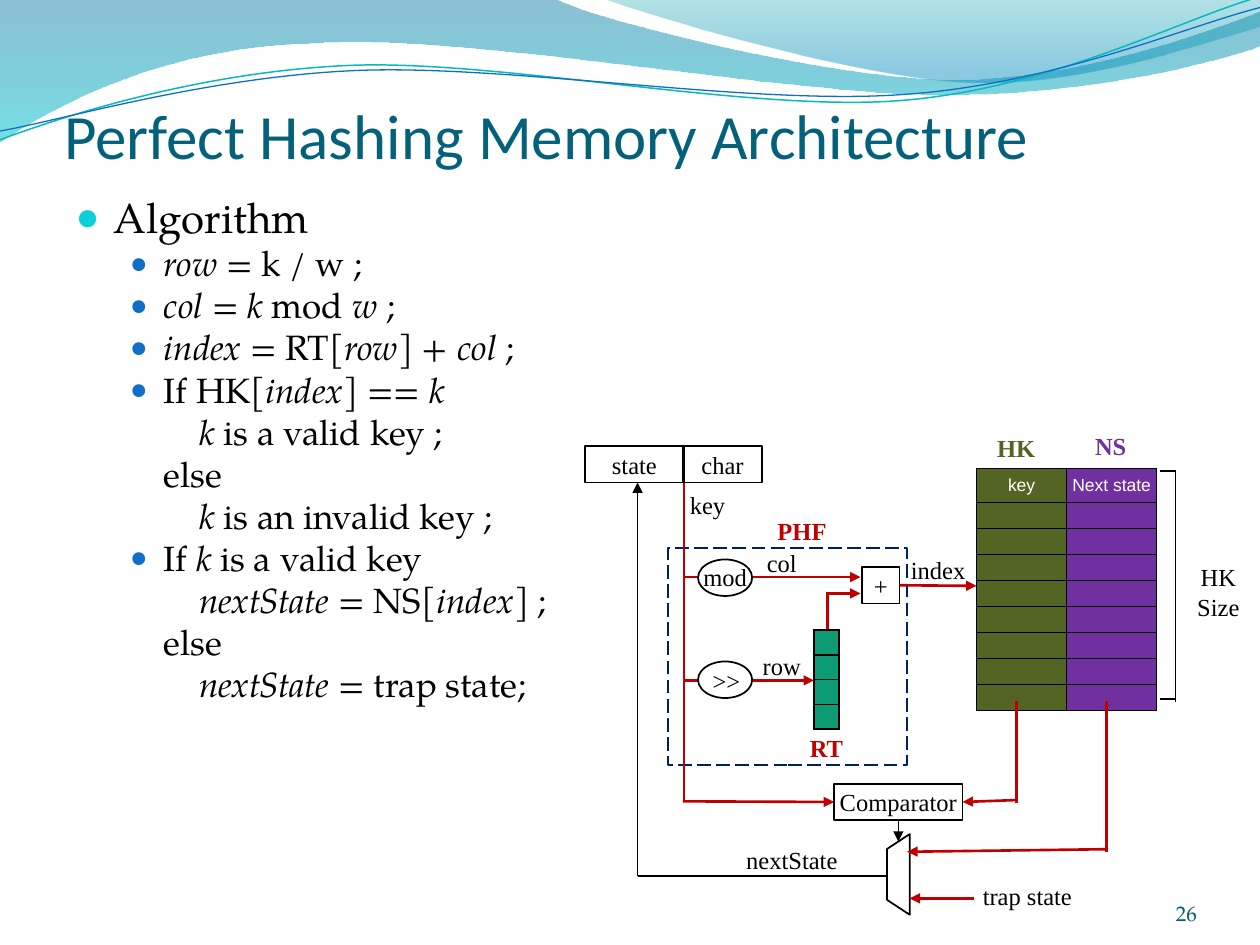
from dataclasses import dataclass

from lxml.etree import SubElement as Sub
from pptx import Presentation
from pptx.dml.color import RGBColor as Rgb
from pptx.enum.dml import MSO_LINE as Dash
from pptx.enum.shapes import MSO_CONNECTOR as Link, MSO_SHAPE as Kind
from pptx.enum.text import MSO_ANCHOR as Anchor, MSO_AUTO_SIZE as Fit, PP_ALIGN as Align
from pptx.oxml.ns import qn
from pptx.util import Cm, Pt


@dataclass(frozen=True)
class Theme:
    """Colours, fonts and type sizes of the slide."""
    title: str = "04617B"
    page: str = "045D75"
    ink: str = "000000"
    white: str = "FFFFFF"
    red: str = "C00000"
    olive: str = "546422"
    purple: str = "7030A0"
    green: str = "0C9B74"
    navy: str = "002060"
    cyan: str = "0BD0D9"
    blue: str = "0F6FC6"
    teal: str = "0AB8BF"
    head: str = "Calibri"
    serif: str = "TeX Gyre Pagella"
    label: str = "Times New Roman"
    cell: str = "Arial"
    big: int = 36
    item: int = 24
    sub: int = 20
    note: int = 14
    foot: int = 12
    small: int = 10


T = Theme()
STEPS = [
    "*row* = k / w ;",
    "*col* = *k* mod *w* ;",
    "*index* = RT[*row*] + *col* ;",
    "If HK[*index*] == *k*\n\t*k* is a valid key ;\nelse\n\t*k* is an invalid key ;",
    "If *k* is a valid key\n\t*nextState* = NS[*index*] ;\nelse\n\t*nextState* = trap state;",
]
WAVES = [
    ([(0, 0), (4.4, -0.01), (4.76, 0.17, 6.64, 0.63, 7.58, 0.63),
      (8.53, 0.63, 9.58, 0.26, 10, 0.09), (10.01, 0.36),
      (9.83, 0.44, 8.7, 0.76, 7.46, 0.75), (6.22, 0.75, 3.82, 0.28, 2.57, 0.34),
      (1.29, 0.36, 0.46, 0.83, -0.01, 1.13), (0, 0)],
     [(0, "0074A1", 45), (1, "00C6CF", 55)]),
    ([(4.79, -0.01), (5.09, 0.11, 6.82, 0.62, 7.69, 0.65),
      (8.56, 0.69, 9.61, 0.32, 10, 0.21), (10, 0), (4.79, -0.01)],
     [(0, "00A1A9", 30), (0.8, "008BBF", 45)]),
]
STRANDS = [
    ([(0, 1.11), (0.48, 0.93, 1.58, 0.57, 2.77, 0.52),
      (3.95, 0.47, 5.93, 0.89, 7.13, 0.8), (8.33, 0.71, 9.38, 0.15, 9.98, -0.02)], T.teal, 0.85),
    ([(0, 1.04), (0.47, 0.96, 1.64, 0.61, 2.83, 0.56),
      (4.03, 0.51, 5.97, 0.84, 7.17, 0.75), (8.36, 0.67, 9.41, 0.21, 10, 0.06)], T.blue, 0.75),
]


def cm(*sizes):
    """Turn inches into Cm lengths."""
    return [Cm(size * 2.54) for size in sizes]


def style(font, name, size, hue, bold=None):
    """Set the look of a font."""
    font.name, font.size, font.bold = name, Pt(size), bold
    font.color.rgb = Rgb.from_string(hue)


def stroke(line, hue, width):
    """Set the colour and width of a line."""
    line.color.rgb = Rgb.from_string(hue)
    line.width = Pt(width)


def ribbon(shapes, legs, close):
    """Add an outline of straight legs and cubic legs."""
    pen = shapes.build_freeform(*cm(*legs[0]))
    dots = [cm(*leg[i:i + 2]) for leg in legs[1:] for i in range(0, len(leg), 2)]
    pen.add_line_segments(dots, close=close)
    shape = pen.convert_to_shape()
    shape.shadow.inherit = False
    parts = iter(list(shape._element.spPr.iter(qn("a:lnTo"))))
    for leg in legs[1:]:
        first = next(parts)
        if len(leg) == 6:
            curve = first.makeelement(qn("a:cubicBezTo"), {})
            first.addprevious(curve)
            for part in (first, next(parts), next(parts)):
                curve.append(part[0])
                part.getparent().remove(part)
    return shape


def wave(shapes, legs, stops):
    """Add a filled wave with a see-through gradient."""
    shape = ribbon(shapes, legs, True)
    shape.line.fill.background()
    shape.fill.gradient()
    shape.fill.gradient_angle = 270
    for stop, (place, hue, _) in zip(shape.fill.gradient_stops, stops):
        stop.position, stop.color.rgb = place, Rgb.from_string(hue)
    for tint, (_, _, alpha) in zip(shape._element.spPr.iter(qn("a:srgbClr")), stops):
        Sub(tint, qn("a:alpha"), val=str(alpha * 1000))


def strand(shapes, legs, hue, width):
    """Add a thin curved line."""
    shape = ribbon(shapes, legs, False)
    shape.fill.background()
    stroke(shape.line, hue, width)


def write(frame, text, name=T.label, size=T.note, hue=T.ink, bold=None,
          align=Align.CENTER, wrap=False, inset=0.04, anchor=Anchor.MIDDLE):
    """Put one styled paragraph in a text frame."""
    frame.margin_left = frame.margin_right = cm(inset)[0]
    frame.margin_top = frame.margin_bottom = 0
    frame.word_wrap, frame.vertical_anchor, frame.auto_size = wrap, anchor, Fit.NONE
    para = frame.paragraphs[0]
    para.text, para.alignment = text, align
    style(para.font, name, size, hue, bold)


def label(shapes, text, *place, **look):
    """Add a text label."""
    write(shapes.add_textbox(*cm(*place)).text_frame, text, **look)


def block(shapes, text, *place, kind=Kind.RECTANGLE, fill=None, hue=T.ink):
    """Add an outlined shape with optional text."""
    shape = shapes.add_shape(kind, *cm(*place))
    shape.shadow.inherit = False
    if fill:
        shape.fill.solid()
        shape.fill.fore_color.rgb = Rgb.from_string(fill)
    else:
        shape.fill.background()
    stroke(shape.line, hue, 1)
    if text:
        write(shape.text_frame, text)
    return shape


def wire(shapes, *ends, hue=T.red, arrow=False, start=None, stop=None):
    """Add a straight line, with an arrow at its end if asked."""
    line = shapes.add_connector(Link.STRAIGHT, *cm(*ends))
    if start:
        line.begin_connect(*start)
    if stop:
        line.end_connect(*stop)
    stroke(line.line, hue, 1.5 if hue == T.red else 1)
    if arrow:
        Sub(line.line._get_or_add_ln(), qn("a:tailEnd"), type="triangle")
    Sub(line._element.spPr, qn("a:effectLst"))


def grid(shapes, hues, heads, tall, *place):
    """Add a ruled table with one colour per column."""
    table = shapes.add_table(len(tall), len(hues), *cm(*place)).table
    for row, high in zip(table.rows, cm(*tall)):
        row.height = high
        for cell, hue in zip(row.cells, hues):
            cell.fill.solid()
            cell.fill.fore_color.rgb = Rgb.from_string(hue)
            cell.margin_left = cell.margin_right = cell.margin_top = cell.margin_bottom = 0
            cell.vertical_anchor = Anchor.MIDDLE
            para = cell.text_frame.paragraphs[0]
            para._p.get_or_add_endParaRPr().set("sz", str(T.small * 100))
            props = cell._tc.get_or_add_tcPr()
            for spot, side in enumerate(("lnL", "lnR", "lnT", "lnB")):
                edge = props.makeelement(qn("a:" + side), {"w": str(Pt(1))})
                Sub(Sub(edge, qn("a:solidFill")), qn("a:srgbClr"), val=T.ink)
                props.insert(spot, edge)
    for cell, text in zip(table.rows[0].cells, heads):
        para = cell.text_frame.paragraphs[0]
        para.text, para.alignment = text, Align.CENTER
        style(para.font, T.cell, T.small, T.white)


def entry(para, text, level, size, left, hang, dot, scale):
    """Fill a list paragraph; asterisks enclose italics."""
    para.level, para.space_before = level, Pt(0)
    props = para._p.get_or_add_pPr()
    edge, back = cm(left, hang)
    props.set("marL", str(edge))
    props.set("indent", str(-back))
    Sub(Sub(props, qn("a:buClr")), qn("a:srgbClr"), val=dot)
    Sub(props, qn("a:buSzPct"), val=str(scale * 1000))
    Sub(props, qn("a:buFont"), typeface=T.cell)
    Sub(props, qn("a:buChar"), char="●")
    if "\t" in text:
        tabs = Sub(props, qn("a:tabLst"))
        for stop in cm(0.28, left + 0.28):
            Sub(tabs, qn("a:tab"), pos=str(stop), algn="l")
    style(para.font, T.serif, size, T.ink)
    for row, line in enumerate(text.split("\n")):
        if row:
            para.add_line_break()
        for turn, part in enumerate(line.split("*")):
            if part:
                run = para.add_run()
                run.text, run.font.italic = part, turn % 2 == 1


def steps(body):
    """Write the list of the algorithm."""
    body.left, body.top, body.width, body.height = cm(0.5, 1.47, 9, 5.45)
    frame = body.text_frame
    frame.auto_size = Fit.NONE
    entry(frame.paragraphs[0], "Algorithm", 0, T.item, 0.3, 0.3, T.cyan, 95)
    for text in STEPS:
        entry(frame.add_paragraph(), text, 1, T.sub, 0.7, 0.27, T.blue, 85)


def chart(shapes):
    """Draw the memory diagram."""
    grid(shapes, (T.olive, T.purple), ("key", "Next state"), [0.27] + [0.206] * 8,
         7.75, 3.72, 1.43, 1.92)
    grid(shapes, (T.green,), (), [0.197] * 4, 6.46, 5, 0.2, 0.79)
    block(shapes, "", 5.3, 4.35, 1.9, 1.72, hue=T.navy).line.dash_style = Dash.LONG_DASH
    block(shapes, "state", 4.64, 3.54, 0.79, 0.29)
    block(shapes, "char", 5.42, 3.54, 0.63, 0.29)
    comp = block(shapes, "Comparator", 6.62, 6.22, 1.02, 0.29)
    plus = block(shapes, "+", 6.84, 4.5, 0.3, 0.29)
    mux = block(shapes, "", 6.81, 6.85, 0.64, 0.18, kind=Kind.TRAPEZOID)
    mux.rotation, mux.adjustments[0] = 270, 0.656

    for ends in ((9.33, 3.73, 9.33, 5.57), (9.21, 3.74, 9.33, 3.74),
                 (9.21, 5.55, 9.33, 5.55), (7.04, 6.95, 5.06, 6.95)):
        wire(shapes, *ends, hue=T.ink)
    wire(shapes, 5.06, 6.95, 5.06, 3.83, hue=T.ink, arrow=True)
    wire(shapes, 7.13, 6.51, 7.13, 6.68, hue=T.ink, arrow=True, start=(comp, 2))
    for ends in ((5.43, 3.83, 5.43, 4.58), (5.43, 4.58, 5.43, 5.4), (5.43, 5.4, 5.43, 6.36),
                 (6.57, 4.7, 6.57, 4.99), (8.07, 5.56, 8.07, 6.37), (8.78, 5.56, 8.78, 6.76)):
        wire(shapes, *ends)
    for ends in ((5.42, 4.58, 6.83, 4.58), (5.42, 5.4, 6.46, 5.4), (6.56, 4.71, 6.83, 4.71),
                 (8.78, 6.74, 7.2, 6.76), (7.73, 7.13, 7.22, 7.13)):
        wire(shapes, *ends, arrow=True)
    wire(shapes, 7.14, 4.65, 7.75, 4.65, arrow=True, start=(plus, 3))
    wire(shapes, 5.42, 6.36, 6.62, 6.36, arrow=True, stop=(comp, 1))
    wire(shapes, 8.07, 6.35, 7.64, 6.36, arrow=True, stop=(comp, 3))

    for top in (4.44, 5.25):
        block(shapes, "", 5.54, top, 0.43, 0.29, kind=Kind.OVAL, fill=T.white)
    for text, *place in (("mod", 5.51, 4.43, 0.49, 0.29), (">>", 5.52, 5.26, 0.49, 0.29),
                         ("col", 5.96, 4.32, 0.49, 0.29), ("row", 5.96, 5.14, 0.49, 0.29),
                         ("key", 5.37, 3.86, 0.49, 0.29), ("index", 7.17, 4.38, 0.55, 0.29),
                         ("nextState", 5.83, 6.68, 0.91, 0.29)):
        label(shapes, text, *place)
    for text, hue, *place in (("HK", T.olive, 7.87, 3.45, 0.39, 0.2),
                              ("NS", T.purple, 8.62, 3.44, 0.39, 0.2),
                              ("PHF", T.red, 6.09, 4.1, 0.55, 0.23),
                              ("RT", T.red, 6.38, 5.85, 0.36, 0.17)):
        label(shapes, text, *place, hue=hue, bold=True)
    label(shapes, "HK Size", 9.41, 4.46, 0.52, 0.47, wrap=True)
    label(shapes, "trap state", 7.76, 6.94, 1.26, 0.34, wrap=True, align=Align.LEFT)


def main():
    """Build and save the slide."""
    deck = Presentation()
    deck.slide_width, deck.slide_height = cm(10, 7.5)
    slide = deck.slides.add_slide(deck.slide_layouts[1])
    shapes = slide.shapes
    title, body = slide.placeholders
    for legs, stops in WAVES:
        wave(shapes, legs, stops)
    for legs, hue, width in STRANDS:
        strand(shapes, legs, hue, width)
    for holder in (title, body):
        shapes._spTree.append(holder._element)
    title.left, title.top, title.width, title.height = cm(0.51, 0.52, 9, 0.85)
    write(title.text_frame, "Perfect Hashing Memory Architecture", T.head, T.big, T.title,
          align=Align.LEFT, wrap=True, inset=0, anchor=Anchor.BOTTOM)
    steps(body)
    label(shapes, "26", 8.67, 6.95, 0.83, 0.4, name=T.serif, size=T.foot, hue=T.page,
          align=Align.RIGHT, wrap=True, inset=0, anchor=Anchor.BOTTOM)
    chart(shapes)
    deck.save("out.pptx")


if __name__ == "__main__":
    main()
